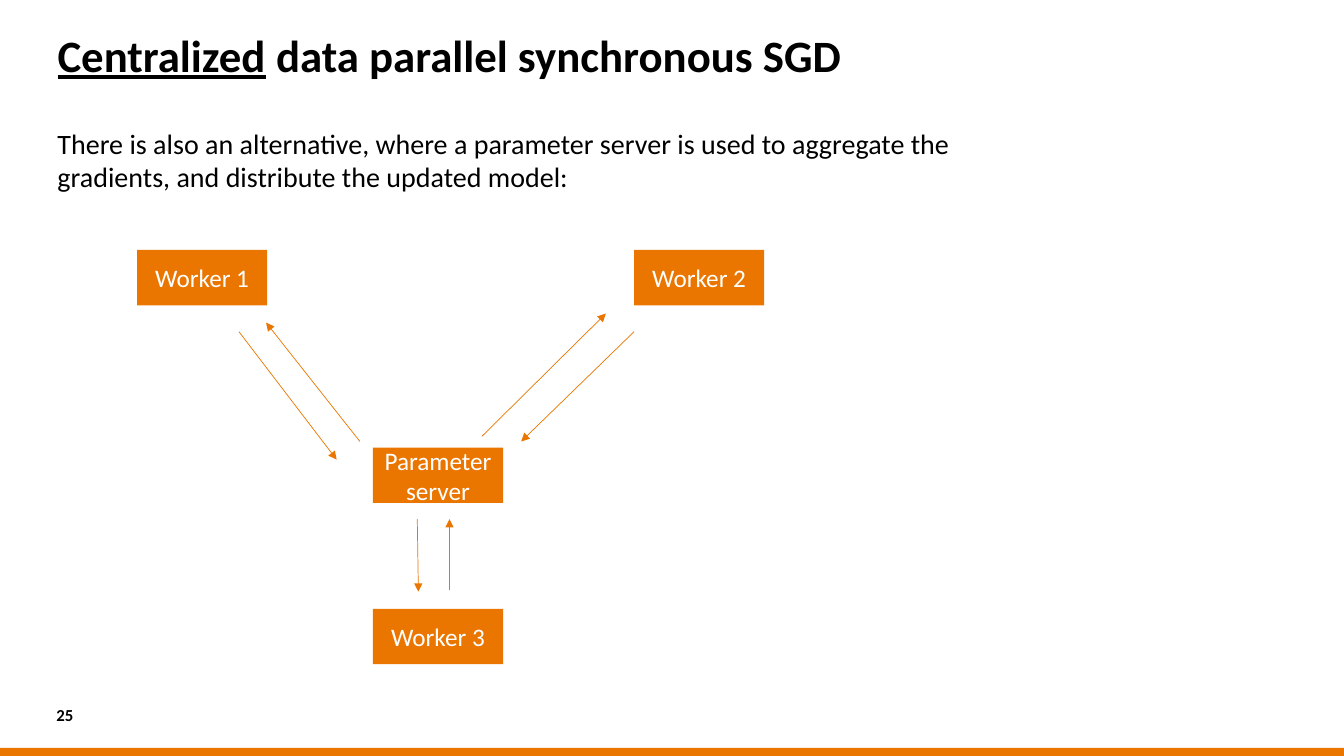
from dataclasses import dataclass

from lxml import etree
from pptx import Presentation
from pptx.dml.color import RGBColor
from pptx.enum.shapes import MSO_CONNECTOR, MSO_SHAPE
from pptx.enum.text import MSO_ANCHOR, PP_ALIGN
from pptx.oxml.ns import qn
from pptx.util import Inches, Pt

RECT = MSO_SHAPE.RECTANGLE
STRAIGHT = MSO_CONNECTOR.STRAIGHT
TOP, MIDDLE = MSO_ANCHOR.TOP, MSO_ANCHOR.MIDDLE
CENTER = PP_ALIGN.CENTER

FONT = "Calibri"
ORANGE, BLACK, WHITE = "EA7600", "000000", "FFFFFF"
WIDTH, HEIGHT = Inches(13.33), Inches(7.5)

# All positions and sizes are percentages of the slide's width and height.
MARGIN = 4.28
NODE_W, NODE_H = 9.68, 7.33
SERVER_X = 27.75


@dataclass
class Node:
    label: str
    x: float
    y: float


@dataclass
class Arrow:
    x1: float
    y1: float
    x2: float
    y2: float


NODES = [
    Node("Worker 1", 10.2, 33.07),
    Node("Worker 2", 47.18, 33.07),
    Node("Worker 3", SERVER_X, 80.53),
    Node("Parameter server", SERVER_X, 59.2),
]
ARROWS = [
    Arrow(26.78, 58.4, 19.8, 42.67),
    Arrow(17.78, 43.87, 25.05, 60.8),
    Arrow(35.85, 57.73, 45.08, 41.47),
    Arrow(47.18, 43.87, 38.78, 58.4),
    Arrow(31.05, 68.67, 31.13, 78.27),
    Arrow(33.45, 78, 33.45, 68.67),
]


def rgb(color: str) -> RGBColor:
    return RGBColor.from_string(color)


def across(share: float) -> int:
    return round(WIDTH * share / 100)


def down(share: float) -> int:
    return round(HEIGHT * share / 100)


def style_font(font, size: float, color: str, bold: bool = False) -> None:
    font.name, font.size, font.bold = FONT, Pt(size), bold
    font.color.rgb = rgb(color)


def add_rect(slide, x: float, y: float, w: float, h: float):
    s = slide.shapes.add_shape(RECT, across(x), down(y), across(w), down(h))
    s.shadow.inherit = False
    s.fill.solid()
    s.fill.fore_color.rgb = rgb(ORANGE)
    s.line.fill.background()
    return s


def add_text(slide, x: float, y: float, w: float, h: float, runs: list[str],
             size: float, bold: bool = False, anchor=TOP):
    """Add a one-paragraph text box without insets and return its frame."""
    tf = slide.shapes.add_textbox(across(x), down(y), across(w), down(h)).text_frame
    tf.word_wrap = True
    tf.vertical_anchor = anchor
    tf.margin_left = tf.margin_top = tf.margin_right = tf.margin_bottom = 0
    for text in runs:
        r = tf.paragraphs[0].add_run()
        r.text = text
        style_font(r.font, size, BLACK, bold)
    return tf


def add_node(slide, node: Node) -> None:
    tf = add_rect(slide, node.x, node.y, NODE_W, NODE_H).text_frame
    tf.text = node.label
    tf.word_wrap = True
    tf.vertical_anchor = MIDDLE
    p = tf.paragraphs[0]
    p.alignment = CENTER
    style_font(p.runs[0].font, 18, WHITE)


def add_arrow(slide, arrow: Arrow) -> None:
    c = slide.shapes.add_connector(STRAIGHT, across(arrow.x1), down(arrow.y1),
                                   across(arrow.x2), down(arrow.y2))
    c.line.color.rgb = rgb(ORANGE)
    c.line.width = Pt(0.5)
    etree.SubElement(c.line._get_or_add_ln(), qn("a:tailEnd"), type="triangle")
    etree.SubElement(c._element.spPr, qn("a:effectLst"))


def main() -> None:
    prs = Presentation()
    prs.slide_width, prs.slide_height = WIDTH, HEIGHT
    slide = prs.slides.add_slide(prs.slide_layouts[6])

    add_rect(slide, 0, 98.93, 100, 1.07)

    title = add_text(slide, MARGIN, 4, 91.43, 8.8,
                     ["Centralized", " data parallel synchronous SGD"], 32, bold=True)
    title.margin_top = Inches(0.08)
    title.paragraphs[0].line_spacing = 0.8
    title.paragraphs[0].runs[0].font.underline = True

    body = add_text(slide, MARGIN, 16.67, 73.6, 68.67,
                    ["There is also an alternative, where a parameter server is used to "
                     "aggregate the gradients, and distribute the updated model:"], 20)
    body.paragraphs[0].space_after = Pt(6)

    add_text(slide, 4.2, 92.93, 3.23, 3.2, ["25"], 12, bold=True, anchor=MIDDLE)

    for node in NODES:
        add_node(slide, node)
    for arrow in ARROWS:
        add_arrow(slide, arrow)

    prs.save("out.pptx")


if __name__ == "__main__":
    main()
